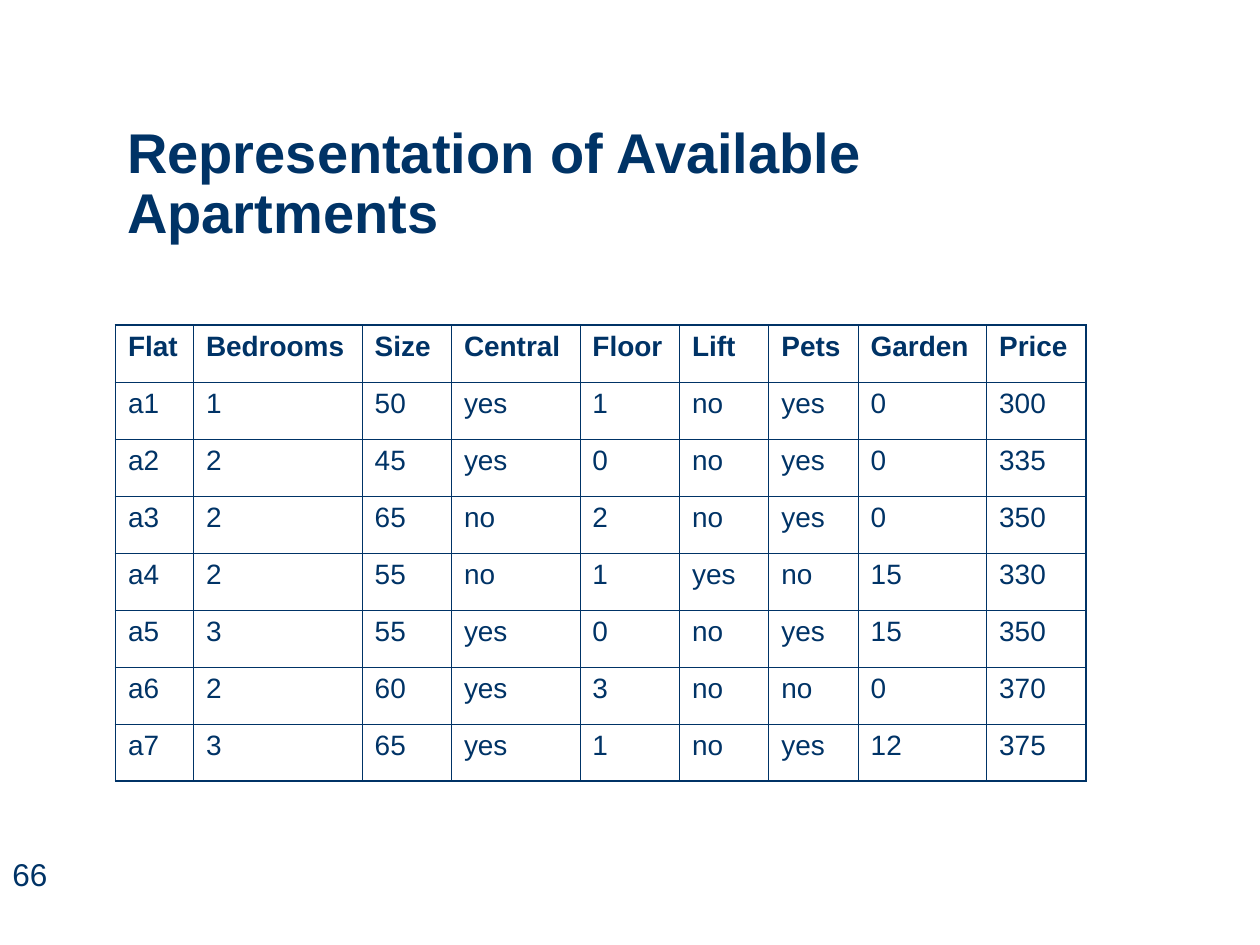
import pptx
import pptx.dml.color
import pptx.enum.text
import pptx.oxml
import pptx.oxml.ns
import pptx.util

Cm = pptx.util.Cm
Pt = pptx.util.Pt

NAVY = pptx.dml.color.RGBColor(0x00, 0x33, 0x66)

TITLE_ONLY = 5
ROW_HEIGHT = 1.15
THIN, THICK = 0.45, 1.08

HEADINGS = ["Flat", "Bedrooms", "Size", "Central", "Floor", "Lift", "Pets", "Garden", "Price"]
COLUMN_WIDTHS = [1.57, 3.4, 1.8, 2.59, 2.01, 1.8, 1.8, 2.59, 2.01]
APARTMENTS = [
    ["a1", 1, 50, "yes", 1, "no", "yes", 0, 300],
    ["a2", 2, 45, "yes", 0, "no", "yes", 0, 335],
    ["a3", 2, 65, "no", 2, "no", "yes", 0, 350],
    ["a4", 2, 55, "no", 1, "yes", "no", 15, 330],
    ["a5", 3, 55, "yes", 0, "no", "yes", 15, 350],
    ["a6", 2, 60, "yes", 3, "no", "no", 0, 370],
    ["a7", 3, 65, "yes", 1, "no", "yes", 12, 375],
]


class SlideBuilder:
    def __init__(self, page, font="Arial", color=NAVY):
        self.page = page
        self.font = font
        self.color = color

    def set_text(self, frame, text, size, bold=False):
        """Fill a text frame with one left-aligned paragraph and return it."""
        frame.text = str(text)
        paragraph = frame.paragraphs[0]
        paragraph.alignment = pptx.enum.text.PP_ALIGN.LEFT
        for span in paragraph.runs:
            span.font.name = self.font
            span.font.size = Pt(size)
            span.font.bold = bold
            span.font.color.rgb = self.color
        return paragraph

    def title(self, text, left, top, width, height):
        box = self.page.shapes.title
        box.left, box.top, box.width, box.height = Cm(left), Cm(top), Cm(width), Cm(height)
        frame = box.text_frame
        frame.word_wrap = True
        frame.auto_size = pptx.enum.text.MSO_AUTO_SIZE.NONE
        frame.vertical_anchor = pptx.enum.text.MSO_ANCHOR.BOTTOM
        self.set_text(frame, text, 32, bold=True).line_spacing = 0.9

    def page_number(self, number, left, top, width, height):
        box = self.page.shapes.add_textbox(Cm(left), Cm(top), Cm(width), Cm(height))
        box.text_frame.word_wrap = True
        self.set_text(box.text_frame, number, 18)

    def border(self, cell, widths):
        """Draw the cell's left, right, top and bottom lines, widths in points."""
        properties = cell._tc.get_or_add_tcPr()
        for position, (side, width) in enumerate(zip("LRTB", widths)):
            line = pptx.oxml.parse_xml(
                f'<a:ln{side} {pptx.oxml.ns.nsdecls("a")} w="{int(Pt(width))}">'
                f'<a:solidFill><a:srgbClr val="{self.color}"/></a:solidFill></a:ln{side}>'
            )
            properties.insert(position, line)

    def table(self, rows, column_widths, row_height, left, top):
        last_row, last_column = len(rows) - 1, len(column_widths) - 1
        table = self.page.shapes.add_table(
            len(rows), len(column_widths), Cm(left), Cm(top),
            Cm(sum(column_widths)), Cm(row_height * len(rows)),
        ).table
        table.first_row = table.horz_banding = False
        for column, width in zip(table.columns, column_widths):
            column.width = Cm(width)
        for r, values in enumerate(rows):
            table.rows[r].height = Cm(row_height)
            for c, value in enumerate(values):
                cell = table.cell(r, c)
                cell.fill.background()
                self.set_text(cell.text_frame, value, 16, bold=r == 0).space_before = Pt(4)
                outer_edges = (c == 0, c == last_column, r == 0, r == last_row)
                self.border(cell, [THICK if outer else THIN for outer in outer_edges])


def main():
    deck = pptx.Presentation()
    deck.slide_width, deck.slide_height = Cm(25.4), Cm(19.05)
    page = deck.slides.add_slide(deck.slide_layouts[TITLE_ONLY])

    builder = SlideBuilder(page)
    builder.page_number(66, 0, 17.12, 2.29, 1.37)
    builder.title("Representation of Available Apartments", 2.31, 2.31, 21.62, 2.77)
    builder.table([HEADINGS] + APARTMENTS, COLUMN_WIDTHS, ROW_HEIGHT, 2.33, 6.55)

    deck.save("out.pptx")


if __name__ == "__main__":
    main()
